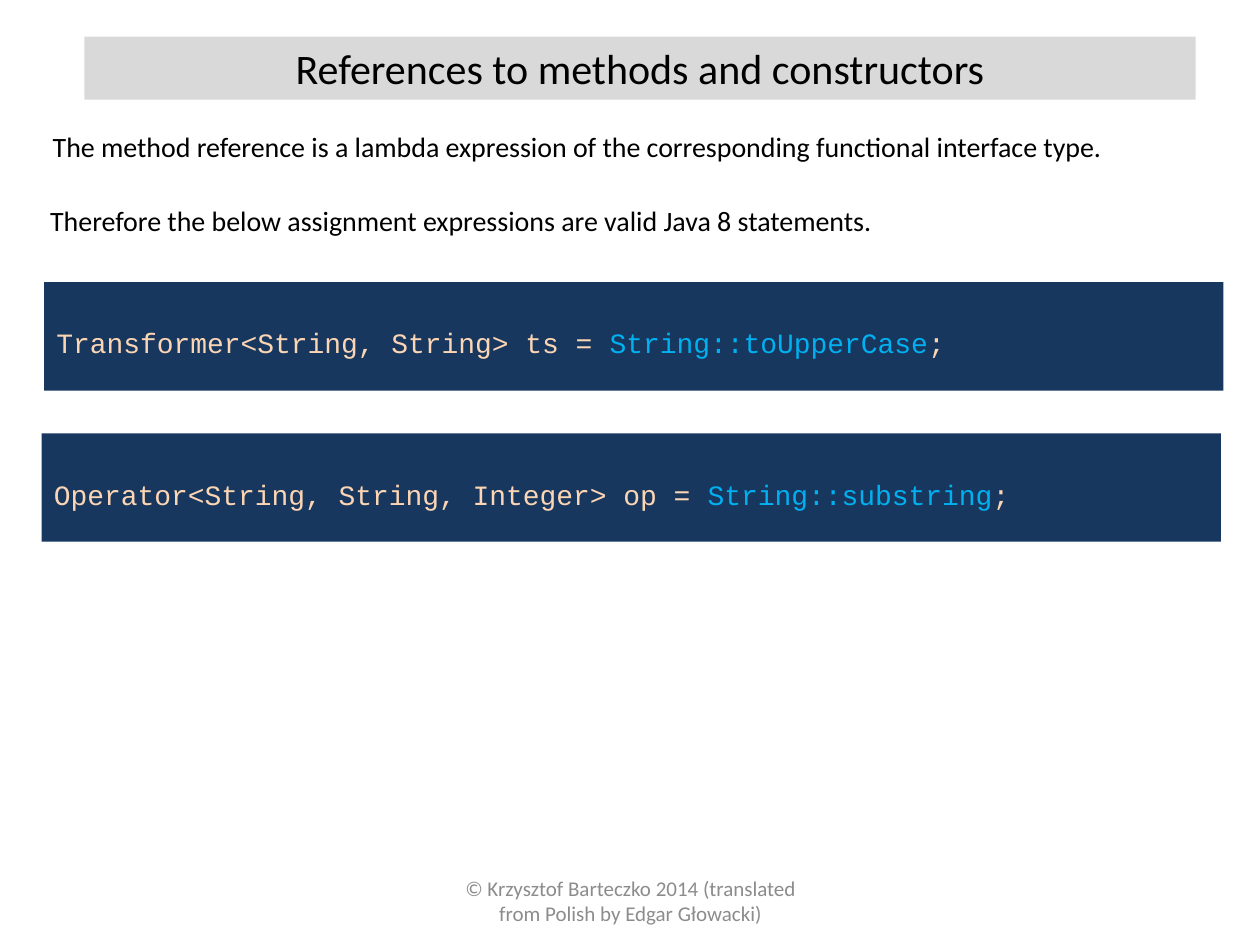
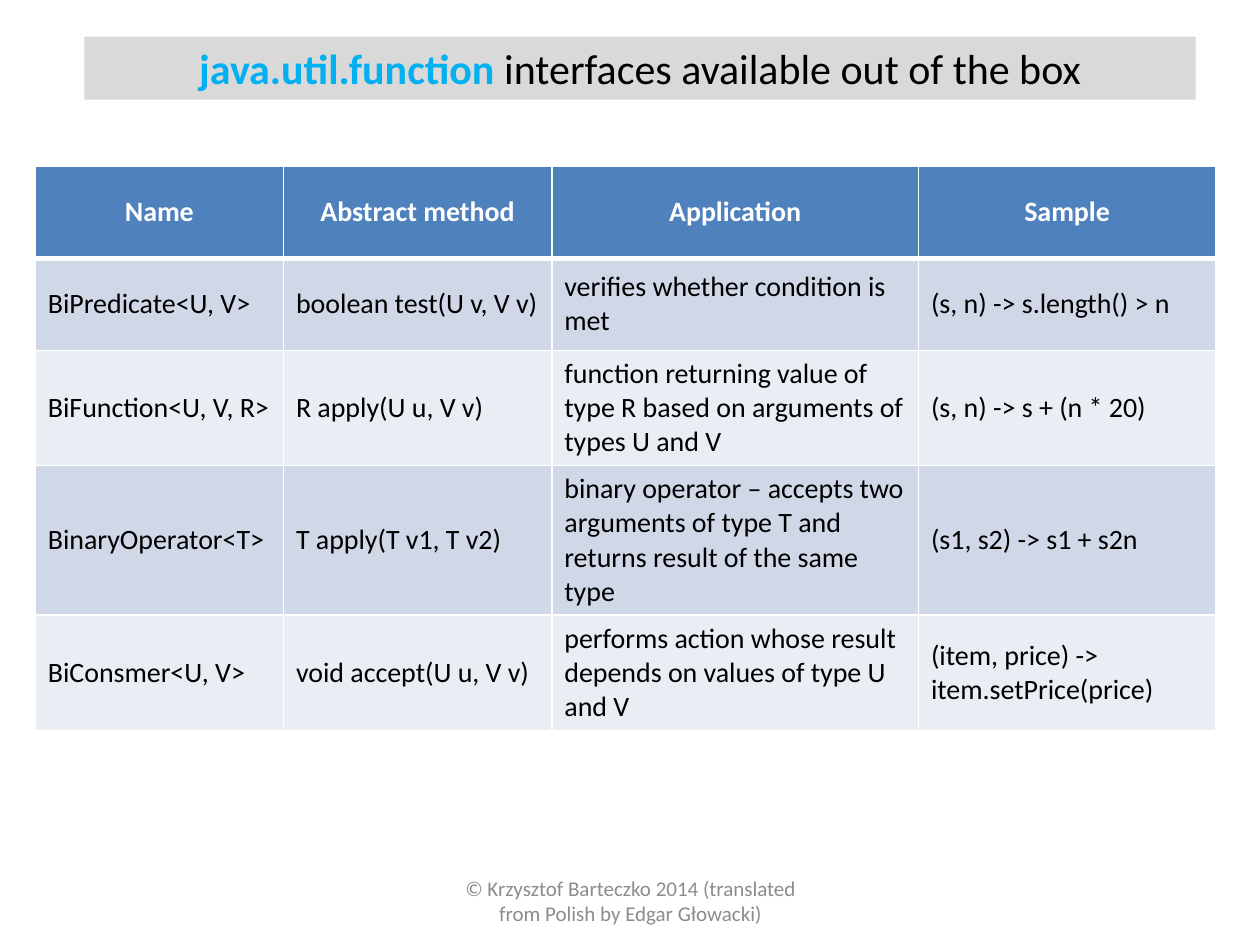
from lxml import etree
from pptx import Presentation, util as u
from pptx.dml.color import RGBColor
from pptx.enum import shapes, text
from pptx.oxml.ns import qn

# Shared look
BLACK, WHITE, GREY = "000000", "FFFFFF", "8C8C8C"
BAND, NAVY, PEACH, CYAN = "D9D9D9", "17375E", "FCD5B5", "00B0F0"
HEAD, ROWS = "4F81BD", ("D0D8E8", "E9EDF4")
SANS, MONO = "Calibri", "Courier New"
LEFT, MID, JUST = text.PP_ALIGN.LEFT, text.PP_ALIGN.CENTER, text.PP_ALIGN.JUSTIFY
TOP, CENTRE = text.MSO_ANCHOR.TOP, text.MSO_ANCHOR.MIDDLE
CREDIT = "© Krzysztof Barteczko 2014 (translated from Polish by Edgar Głowacki)"

COLS = (1.97, 2.13, 2.91, 2.36)
TABLE = (
    ("Name", "Abstract method", "Application", "Sample"),
    ("BiPredicate<U, V>", "boolean test(U v, V v)",
     "verifies whether condition is met", "(s, n) -> s.length() > n"),
    ("BiFunction<U, V, R>", "R apply(U u, V v)",
     "function returning value of type R based on arguments of types U and V",
     "(s, n) -> s + (n * 20)"),
    ("BinaryOperator<T>", "T apply(T v1, T v2)",
     "binary operator – accepts two arguments of type T and returns result of the same type",
     "(s1, s2) -> s1 + s2n"),
    ("BiConsmer<U, V>", "void accept(U u, V v)",
     "performs action whose result depends on values of type U and V",
     "(item, price) -> item.setPrice(price)"),
)


def paint(target, color):
    """Fill a shape or cell with a plain colour."""
    target.fill.solid()
    target.fill.fore_color.rgb = RGBColor.from_string(color)


def write(frame, parts, size, align=LEFT, anchor=TOP, face=SANS):
    """Write one paragraph from (words, colour, bold) parts."""
    frame.word_wrap = True
    frame.auto_size = text.MSO_AUTO_SIZE.NONE
    frame.vertical_anchor = anchor
    para = frame.paragraphs[0]
    para.alignment = align
    for words, color, bold in parts:
        run = para.add_run()
        run.text = words
        font = run.font
        font.name, font.size, font.bold = face, u.Pt(size), bold
        font.color.rgb = RGBColor.from_string(color)


def add_text(slide, box, words, size, color, align, anchor=TOP):
    shape = slide.shapes.add_textbox(*map(u.Inches, box))
    write(shape.text_frame, [(words, color, False)], size, align, anchor)


def add_code(slide, left, top, start, method):
    """Dark code panel with the method reference picked out."""
    box = map(u.Inches, (left, top, 9.36, 0.86))
    panel = slide.shapes.add_shape(shapes.MSO_SHAPE.RECTANGLE, *box)
    panel.shadow.inherit = False
    paint(panel, NAVY)
    panel.line.fill.background()
    frame = panel.text_frame
    frame.margin_top, frame.margin_bottom = u.Inches(0.1), 0
    parts = [(start, PEACH, False), (method, CYAN, False), (";", PEACH, False)]
    write(frame, parts, 16, anchor=CENTRE, face=MONO)


def edge(cell, widths):
    """White cell borders; widths in points for left, right, top, bottom."""
    props = cell._tc.get_or_add_tcPr()
    for i, (side, width) in enumerate(zip("LRTB", widths)):
        line = etree.Element(qn("a:ln" + side), w=str(u.Pt(width)))
        fill = etree.SubElement(line, qn("a:solidFill"))
        etree.SubElement(fill, qn("a:srgbClr"), val=WHITE)
        props.insert(i, line)


def add_grid(slide):
    box = map(u.Inches, (0.28, 1.32, sum(COLS), 0.73 * len(TABLE)))
    grid = slide.shapes.add_table(len(TABLE), len(COLS), *box).table
    grid.horz_banding = False
    for col, width in zip(grid.columns, COLS):
        col.width = u.Inches(width)
    for r, row in enumerate(TABLE):
        head = r == 0
        for c, words in enumerate(row):
            cell = grid.cell(r, c)
            paint(cell, HEAD if head else ROWS[(r - 1) % 2])
            edge(cell, (1, 1, 3 if r == 1 else 1, 3 if head else 1))
            write(cell.text_frame, [(words, WHITE if head else BLACK, head)],
                  16, MID if head else LEFT)
            cell.vertical_anchor = CENTRE


def add_slide(deck, title):
    """Slide with the grey title band and the credit line."""
    slide = deck.slides.add_slide(deck.slide_layouts[5])
    band = slide.shapes.title
    band.left, band.top, band.width, band.height = map(
        u.Inches, (0.67, 0.29, 8.82, 0.5))
    paint(band, BAND)
    write(band.text_frame, title, 24, MID)
    add_text(slide, (3.42, 6.95, 3.17, 0.4), CREDIT, 12, GREY, MID, CENTRE)
    return slide


def main():
    deck = Presentation()
    deck.slide_width, deck.slide_height = u.Inches(10), u.Inches(7.5)

    # Method references
    slide = add_slide(deck, [("References to methods and constructors", BLACK, False)])
    add_text(slide, (0.32, 0.98, 9.33, 0.37),
             "The method reference is a lambda expression of the corresponding "
             "functional interface type.", 16, BLACK, JUST)
    add_text(slide, (0.3, 1.57, 9.33, 0.37),
             "Therefore the below assignment expressions are valid Java 8 statements.",
             16, BLACK, JUST)
    add_code(slide, 0.35, 2.24, "Transformer<String, String> ts = ",
             "String::toUpperCase")
    add_code(slide, 0.33, 3.44, "Operator<String, String, Integer> op = ",
             "String::substring")

    # Ready-made interfaces
    slide = add_slide(deck, [("java.util.function", CYAN, True),
                             (" interfaces available out of the box", BLACK, False)])
    add_grid(slide)

    deck.save("out.pptx")


main()
